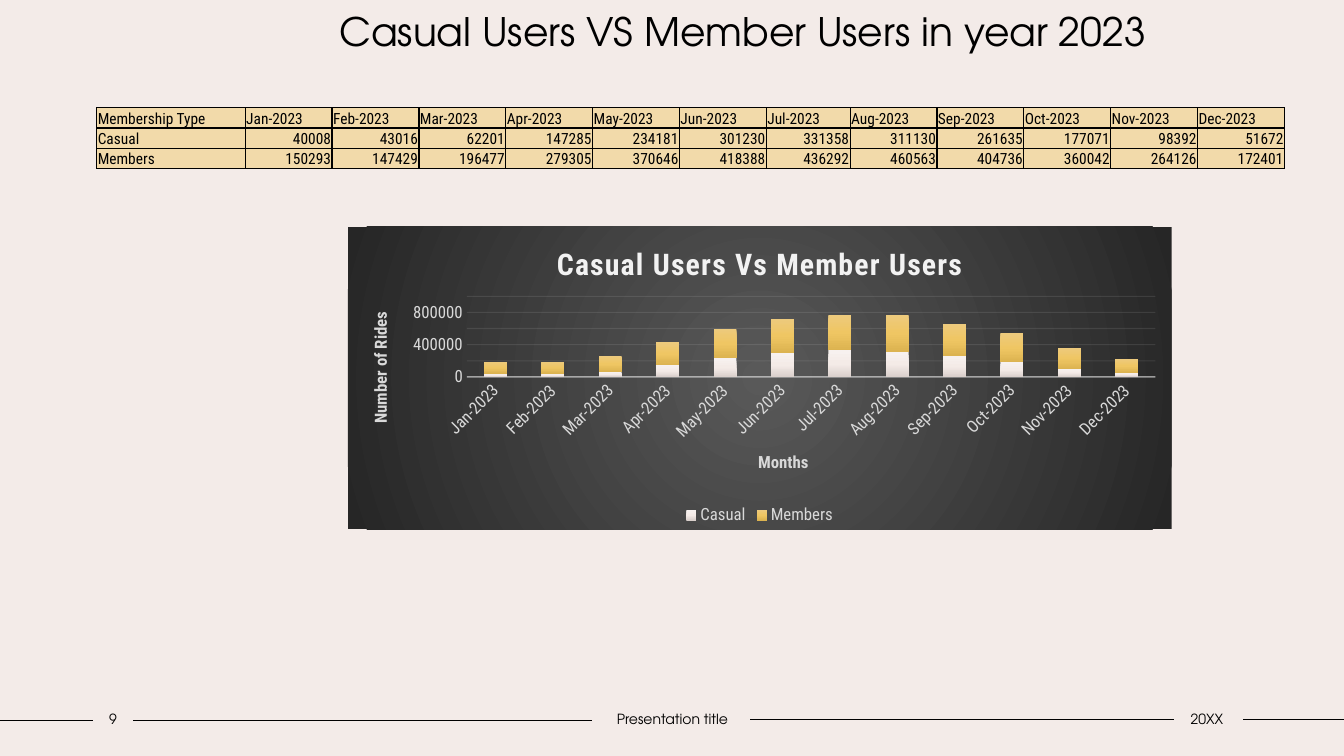
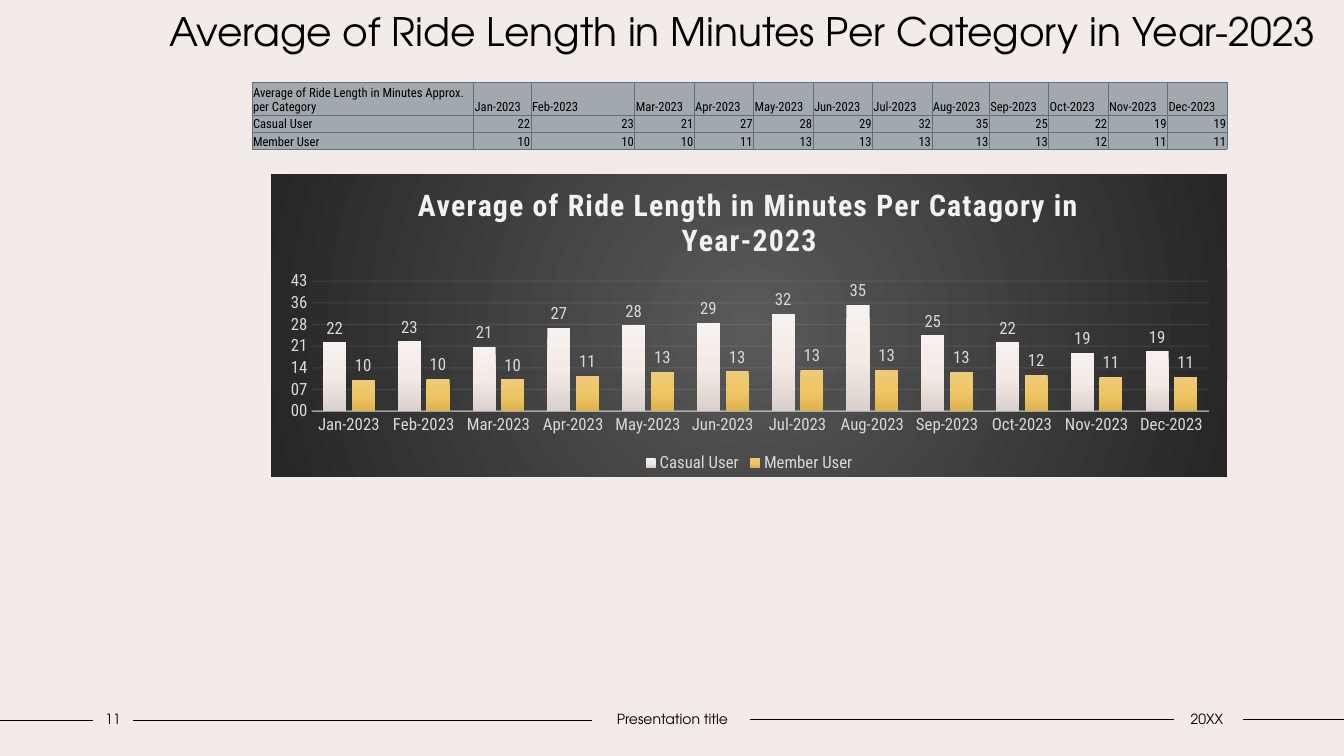
from dataclasses import dataclass
from typing import Optional

from pptx import Presentation
from pptx.chart.data import CategoryChartData
from pptx.dml.color import RGBColor
from pptx.enum import chart as ch, shapes, text as tx
from pptx.oxml import parse_xml
from pptx.oxml.ns import nsdecls, qn
from pptx.util import Inches, Pt

COLORS = {
    "background": "F3EBE8", "ink": "000000", "gold": "F2DAAA", "slate": "A1A9AF",
    "slate_border": "60717C", "chart_title": "F2F2F2", "chart_text": "D9D9D9",
}
CHART_GRADIENT = ((0, "595959"), (100, "262626"))
SERIES_GRADIENTS = (
    ((0, "F7F1EF"), (50, "F4EBE7"), (100, "DAD0CC")),
    ((0, "EDCA7D"), (50, "EFC663"), (100, "DCB350")),
)
HEADING_FONT, DATA_FONT = "TeX Gyre Adventor", "Roboto Condensed"
MINUTES_PER_DAY = 24 * 60
MONTHS = [f"{month}-2023" for month in
          "Jan Feb Mar Apr May Jun Jul Aug Sep Oct Nov Dec".split()]
FOOTER_RULES = ((0, 0.92, 7.15), (1.32, 5.87, 7.15), (7.44, 11.64, 7.14), (12.33, 13.33, 7.14))


@dataclass(frozen=True)
class Box:
    left: float
    top: float
    width: float
    height: float

    def lengths(self) -> tuple:
        return tuple(Inches(v) for v in (self.left, self.top, self.width, self.height))


@dataclass(frozen=True)
class TableSpec:
    box: Box
    columns: list
    rows: list
    corner: str
    size: float
    fill: str
    border: str
    border_width: float
    factor: int = 1


@dataclass(frozen=True)
class ChartSpec:
    """Positions of the parts are in inches from the chart's corner."""
    box: Box
    kind: ch.XL_CHART_TYPE
    title: str
    title_at: tuple
    plot_at: tuple
    gap: int
    overlap: int
    maximum: float
    unit: float
    number_format: str
    digits: int
    labels: bool = False
    label_turn: int = 0
    months_title: Optional[str] = None
    rides_title: Optional[str] = None


@dataclass(frozen=True)
class Report:
    number: int
    title: str
    series: dict
    table: TableSpec
    chart: ChartSpec


REPORTS = (
    Report(
        9, "Casual Users VS Member Users in year 2023",
        {"Casual": (40008, 43016, 62201, 147285, 234181, 301230,
                    331358, 311130, 261635, 177071, 98392, 51672),
         "Members": (150293, 147429, 196477, 279305, 370646, 418388,
                     436292, 460563, 404736, 360042, 264126, 172401)},
        TableSpec(Box(0.96, 1.07, 11.78, 0.6), [1.47] + [0.86] * 6 + [0.83] + [0.86] * 5,
                  [0.2] * 3, "Membership Type", 11, "gold", "ink", 1),
        ChartSpec(Box(3.45, 2.25, 8.17, 3), ch.XL_CHART_TYPE.COLUMN_STACKED,
                  "Casual Users Vs Member Users", (2.02, 0.12), (1.18, 0.69, 6.83, 0.8),
                  150, 100, 1000000, 200000, "General", -4, label_turn=-45,
                  months_title="Months", rides_title="Number of Rides"),
    ),
    Report(  # ride lengths are fractions of a day
        11, "Average of Ride Length in Minutes Per Category in Year-2023",
        {"Casual User": (0.0159, 0.0161, 0.0149, 0.0192, 0.0198, 0.0204,
                         0.0225, 0.0245, 0.0175, 0.0159, 0.0135, 0.0138),
         "Member User": (0.0072, 0.0074, 0.0073, 0.0081, 0.0091, 0.0092,
                         0.0095, 0.0096, 0.0091, 0.0084, 0.0079, 0.0079)},
        TableSpec(Box(2.5, 0.82, 9.67, 0.66),
                  [2.2, 0.57, 1.03] + [0.59] * 5 + [0.57] + [0.59] * 4, [0.32, 0.17, 0.17],
                  "Average of Ride Length in Minutes Approx. per Category",
                  9, "slate", "slate_border", 0.5, MINUTES_PER_DAY),
        ChartSpec(Box(2.69, 1.73, 9.48, 3), ch.XL_CHART_TYPE.COLUMN_CLUSTERED,
                  "Average of Ride Length in Minutes Per Catagory in Year-2023",
                  (1.4, 0.06), (0.4, 1.06, 8.9, 1.29), 100, -24, 0.03, 0.005, "[mm]", 4,
                  labels=True),
    ),
)


def rgb(name: str) -> RGBColor:
    return RGBColor.from_string(COLORS[name])


def write(frame, content: str, *, size: float, font: str = DATA_FONT, color: str = "ink",
          bold: bool = False, align=tx.PP_ALIGN.LEFT, spacing: int = 0) -> None:
    paragraph = frame.paragraphs[0]
    paragraph.alignment = align
    run = paragraph.add_run()
    run.text = content
    run.font.size, run.font.name, run.font.bold = Pt(size), font, bold
    run.font.color.rgb = rgb(color)
    if spacing:
        run._r.get_or_add_rPr().set("spc", str(spacing))


def add_text(slide, box: Box, content: str, *, size: float, footer: bool = False) -> None:
    frame = slide.shapes.add_textbox(*box.lengths()).text_frame
    frame.word_wrap = True
    if footer:
        frame.margin_left = frame.margin_right = 0
        frame.vertical_anchor = tx.MSO_ANCHOR.MIDDLE
    write(frame, content, size=size, font=HEADING_FONT, align=tx.PP_ALIGN.CENTER)


def add_frame(slide, report: Report) -> None:
    """Draw the title and footer that every slide carries."""
    for start, end, y in FOOTER_RULES:
        rule = slide.shapes.add_connector(shapes.MSO_CONNECTOR.STRAIGHT, Inches(start),
                                          Inches(y), Inches(end), Inches(y))
        rule.line.color.rgb, rule.line.width = rgb("ink"), Pt(1)
        rule._element.spPr.append(parse_xml(f'<a:effectLst {nsdecls("a")}/>'))
    add_text(slide, Box(1.31, 0.02, 12.11, 0.81), report.title, size=28)
    for left, width, content in ((0.92, 0.4, str(report.number)),
                                 (5.87, 1.6, "Presentation title"), (11.62, 0.7, "20XX")):
        add_text(slide, Box(left, 7, width, 0.27), content, size=10, footer=True)


def add_borders(cell, color: str, width: float) -> None:
    properties = cell._tc.get_or_add_tcPr()
    for index, side in enumerate(("lnL", "lnR", "lnT", "lnB")):
        properties.insert(index, parse_xml(
            f'<a:{side} {nsdecls("a")} w="{Pt(width)}"><a:solidFill>'
            f'<a:srgbClr val="{COLORS[color]}"/></a:solidFill></a:{side}>'))


def add_data_table(slide, spec: TableSpec, series: dict) -> None:
    rows = [[spec.corner, *MONTHS]]
    rows += [[name, *(int(v * spec.factor) for v in values)] for name, values in series.items()]
    table = slide.shapes.add_table(len(rows), len(rows[0]), *spec.box.lengths()).table
    table.first_row = table.horz_banding = False
    for column, width in zip(table.columns, spec.columns):
        column.width = Inches(width * spec.box.width / sum(spec.columns))
    for row, height, values in zip(table.rows, spec.rows, rows):
        row.height = Inches(height)
        for cell, value in zip(row.cells, values):
            cell.margin_left = cell.margin_right = cell.margin_top = Inches(0.01)
            cell.margin_bottom = 0
            cell.vertical_anchor = tx.MSO_ANCHOR.BOTTOM
            cell.fill.solid()
            cell.fill.fore_color.rgb = rgb(spec.fill)
            add_borders(cell, spec.border, spec.border_width)
            align = tx.PP_ALIGN.LEFT if isinstance(value, str) else tx.PP_ALIGN.RIGHT
            write(cell.text_frame, str(value), size=spec.size, align=align)


def gradient(stops: tuple, direction: str):
    """Build chart shape properties with a gradient fill and no outline."""
    marks = "".join(f'<a:gs pos="{position * 1000}"><a:srgbClr val="{color}"/></a:gs>'
                    for position, color in stops)
    return parse_xml(f'<c:spPr {nsdecls("c", "a")}><a:gradFill><a:gsLst>{marks}</a:gsLst>'
                     f'{direction}</a:gradFill><a:ln><a:noFill/></a:ln></c:spPr>')


def place(part, box: Box, position: tuple) -> None:
    """Fix the place of a title or of the inner plot area within the chart's box."""
    for old in part.findall(qn("c:layout")):
        part.remove(old)
    modes = "".join(f'<c:{axis}Mode val="edge"/>' for axis in "xy")
    sizes = "".join(f'<c:{key} val="{value / whole}"/>' for key, value, whole
                    in zip("xywh", position, (box.width, box.height) * 2))
    target = '<c:layoutTarget val="inner"/>' if len(position) == 4 else ""
    layout = parse_xml(f'<c:layout {nsdecls("c")}><c:manualLayout>{target}{modes}{sizes}'
                       '</c:manualLayout></c:layout>')
    part.insert(0 if part.find(qn("c:tx")) is None else 1, layout)


def style_line(line, width: float, opacity: int) -> None:
    line.color.rgb, line.width = rgb("chart_title"), Pt(width)
    color = next(line._get_or_add_ln().iter(qn("a:srgbClr")))
    color.append(parse_xml(f'<a:alpha {nsdecls("a")} val="{opacity * 1000}"/>'))


def style_font(font) -> None:
    font.size, font.name, font.color.rgb = Pt(12), DATA_FONT, rgb("chart_text")


def turn(body, degrees: int) -> None:
    properties = body.find(qn("a:bodyPr"))
    properties.set("rot", str(degrees * 60000))
    properties.set("vert", "horz")


def title_axis(axis, content: Optional[str], box: Box, position: tuple, degrees: int = 0) -> None:
    axis.has_title = content is not None
    if content is not None:
        frame = axis.axis_title.text_frame
        write(frame, content, size=12, color="chart_text", bold=True, align=tx.PP_ALIGN.CENTER)
        turn(frame._txBody, degrees)
        place(axis.axis_title._element, box, position)


def style_axes(chart, spec: ChartSpec) -> None:
    months, amounts = chart.category_axis, chart.value_axis
    for axis in (months, amounts):
        axis.major_tick_mark = axis.minor_tick_mark = ch.XL_TICK_MARK.NONE
        style_font(axis.tick_labels.font)
    style_line(months.format.line, 1, 54)
    turn(months._element.find(qn("c:txPr")), spec.label_turn)
    amounts.format.line.fill.background()
    amounts.minimum_scale, amounts.maximum_scale = 0, spec.maximum
    amounts.major_unit = spec.unit
    amounts.tick_labels.number_format = spec.number_format
    amounts.tick_labels.number_format_is_linked = False
    style_line(amounts.major_gridlines.format.line, 0.75, 10)
    title_axis(months, spec.months_title, spec.box, (4.04, 2.19))
    title_axis(amounts, spec.rides_title, spec.box, (0.18, 0.81), -90)


def add_series_chart(slide, spec: ChartSpec, series: dict) -> None:
    data = CategoryChartData()
    data.categories = MONTHS
    for name, values in series.items():
        data.add_series(name, [round(value, spec.digits) for value in values])
    chart = slide.shapes.add_chart(spec.kind, *spec.box.lengths(), data).chart
    chart.font.size, chart.font.name = Pt(10), DATA_FONT
    chart._chartSpace.chart.addnext(gradient(
        CHART_GRADIENT, '<a:path path="circle"><a:fillToRect l="50000" t="50000" '
                        'r="50000" b="50000"/></a:path>'))

    chart.has_title = True
    write(chart.chart_title.text_frame, spec.title, size=21.3, color="chart_title", bold=True,
          align=tx.PP_ALIGN.CENTER, spacing=100)
    chart.chart_title.include_in_layout = False
    place(chart.chart_title._element, spec.box, spec.title_at)
    place(chart._chartSpace.chart.plotArea, spec.box, spec.plot_at)
    chart.has_legend = True
    chart.legend.position = ch.XL_LEGEND_POSITION.BOTTOM
    chart.legend.include_in_layout = False
    style_font(chart.legend.font)
    style_axes(chart, spec)

    plot = chart.plots[0]
    plot.gap_width, plot.overlap, plot.vary_by_categories = spec.gap, spec.overlap, False
    for bars, stops in zip(plot.series, SERIES_GRADIENTS):
        properties = bars._element.get_or_add_spPr()
        properties.getparent().replace(properties, gradient(stops, '<a:lin ang="5400000"/>'))
        if spec.labels:
            labels = bars.data_labels
            labels.show_value = True
            labels.position = ch.XL_LABEL_POSITION.OUTSIDE_END
            labels.number_format, labels.number_format_is_linked = spec.number_format, False
            style_font(labels.font)


def main() -> None:
    deck = Presentation()
    deck.slide_width, deck.slide_height = Inches(13.33), Inches(7.5)
    background = deck.slide_master.background.fill
    background.solid()
    background.fore_color.rgb = rgb("background")
    for report in REPORTS:
        slide = deck.slides.add_slide(deck.slide_layouts[6])
        add_frame(slide, report)
        add_data_table(slide, report.table, report.series)
        add_series_chart(slide, report.chart, report.series)
    deck.save("out.pptx")


if __name__ == "__main__":
    main()
